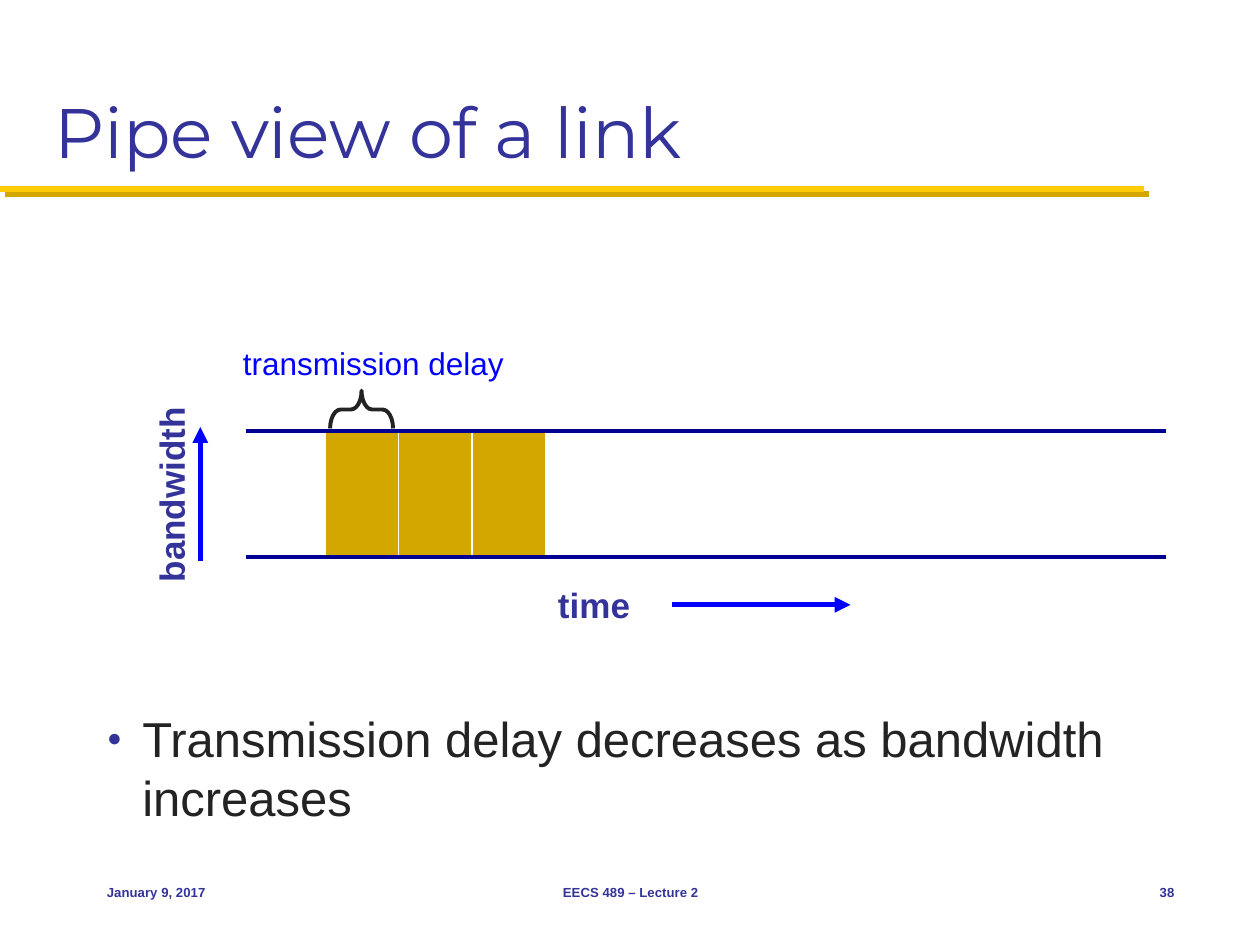
from dataclasses import dataclass

from lxml.etree import SubElement
from pptx import Presentation
from pptx.dml.color import RGBColor
from pptx.enum.shapes import MSO_CONNECTOR, MSO_SHAPE
from pptx.enum.text import MSO_ANCHOR as Anchor, MSO_AUTO_SIZE as AutoSize, PP_ALIGN as Align
from pptx.oxml.ns import qn
from pptx.util import Inches, Pt


@dataclass(frozen=True)
class Theme:
    """Colours, fonts and type sizes of the slide."""
    navy: str = "333399"
    ink: str = "232323"
    blue: str = "0000FF"
    pipe: str = "000090"
    yellow: str = "FFCB05"
    gold: str = "D3A600"
    white: str = "FFFFFF"
    heading: str = "Montserrat"
    font: str = "Arial"
    title_size: float = 40
    body_size: float = 28
    axis_size: float = 20
    note_size: float = 18
    footer_size: float = 7.5


class SlideBuilder:
    """Draws styled elements on one slide."""

    def __init__(self, slide, theme):
        """Keep the slide and its style."""
        self.slide, self.theme = slide, theme

    def place(self, element, left, top, width, height):
        """Move and size an element in inches."""
        element.left, element.top = Inches(left), Inches(top)
        element.width, element.height = Inches(width), Inches(height)

    def style(self, paragraph, size, color, font=None, bold=False):
        """Format the runs of a paragraph."""
        for run in paragraph.runs:
            run.font.name = font or self.theme.font
            run.font.size, run.font.bold = Pt(size), bold
            run.font.color.rgb = RGBColor.from_string(color)

    def title(self, text, *box):
        """Fill the title placeholder."""
        heading = self.slide.shapes.title
        self.place(heading, *box)
        frame = heading.text_frame
        frame.text, frame.vertical_anchor = text, Anchor.BOTTOM
        frame.auto_size = AutoSize.NONE
        frame.paragraphs[0].alignment = Align.LEFT
        self.style(frame.paragraphs[0], self.theme.title_size, self.theme.navy, self.theme.heading)

    def bullet(self, text, *box):
        """Fill the body placeholder with one bullet resting at its foot."""
        body = self.slide.placeholders[1]
        self.place(body, *box)
        frame = body.text_frame
        frame.text, frame.vertical_anchor = text, Anchor.BOTTOM
        frame.auto_size, frame.margin_bottom = AutoSize.NONE, Inches(0.02)
        point = frame.paragraphs[0]
        point.space_before = Pt(0)
        props = point._p.get_or_add_pPr()
        props.set("marL", str(Inches(0.28)))
        props.set("indent", str(-Inches(0.28)))
        SubElement(SubElement(props, qn("a:buClr")), qn("a:srgbClr"), val=self.theme.navy)
        SubElement(props, qn("a:buSzPct"), val="50000")
        SubElement(props, qn("a:buFont"), typeface=self.theme.font)
        SubElement(props, qn("a:buChar"), char="●")
        self.style(point, self.theme.body_size, self.theme.ink)

    def label(self, text, box, size, color, bold=True, align=Align.LEFT, anchor=Anchor.TOP, rotation=0):
        """Add a single-line text box."""
        caption = self.slide.shapes.add_textbox(*map(Inches, box))
        caption.rotation = rotation
        frame = caption.text_frame
        frame.text, frame.vertical_anchor = text, anchor
        frame.word_wrap = False
        frame.paragraphs[0].alignment = align
        self.style(frame.paragraphs[0], size, color, bold=bold)

    def footer(self, text, left, width, align):
        """Add one part of the footer row."""
        self.label(text, (left, 6.83, width, 0.5), self.theme.footer_size,
                   self.theme.navy, align=align, anchor=Anchor.MIDDLE)

    def line(self, start, end, color, weight, arrow=False, shadow=None):
        """Add a straight line, with an arrowhead or a shadow if asked."""
        stroke = self.slide.shapes.add_connector(
            MSO_CONNECTOR.STRAIGHT, *map(Inches, (*start, *end)))
        stroke.line.color.rgb = RGBColor.from_string(color)
        stroke.line.width = Pt(weight)
        if arrow:
            SubElement(stroke.line._get_or_add_ln(), qn("a:tailEnd"), type="triangle")
        effects = SubElement(stroke._element.spPr, qn("a:effectLst"))
        if shadow:
            cast = SubElement(effects, qn("a:outerShdw"), blurRad="0", dist=str(Pt(4.2)),
                              dir=str(45 * 60000), algn="ctr", rotWithShape="0")
            SubElement(cast, qn("a:srgbClr"), val=shadow)

    def shape(self, kind, box, outline, weight, fill=None, rotation=0):
        """Add a preset shape."""
        figure = self.slide.shapes.add_shape(kind, *map(Inches, box))
        figure.shadow.inherit = False
        figure.rotation = rotation
        if fill:
            figure.fill.solid()
            figure.fill.fore_color.rgb = RGBColor.from_string(fill)
        else:
            figure.fill.background()
        figure.line.color.rgb = RGBColor.from_string(outline)
        figure.line.width = Pt(weight)
        return figure


def main():
    """Build the slide and save it."""
    deck = Presentation()
    deck.slide_width, deck.slide_height = Inches(10), Inches(7.5)
    theme = Theme()
    page = SlideBuilder(deck.slides.add_slide(deck.slide_layouts[1]), theme)

    page.line((0, 1.5), (9.08, 1.5), theme.yellow, 3.5, shadow=theme.gold)
    page.title("Pipe view of a link", 0.33, 0.17, 9.33, 1.25)
    page.bullet("Transmission delay decreases as bandwidth increases", 0.75, 1.75, 8.67, 4.83)

    page.footer("January 9, 2017", 0.75, 2.08, Align.LEFT)
    page.footer("EECS 489 – Lecture 2", 3.42, 3.17, Align.CENTER)
    page.footer("38", 8.75, 0.67, Align.RIGHT)

    pipe_top, pipe_height, packet_width = 3.42, 1, 7 / 12
    for index in range(3):
        page.shape(MSO_SHAPE.RECTANGLE,
                   (2.58 + index * packet_width, pipe_top, packet_width, pipe_height),
                   theme.white, 0.75, theme.gold)
    for edge in (pipe_top, pipe_top + pipe_height):
        page.line((1.95, edge), (9.25, edge), theme.pipe, 2.25)

    page.label("time", (4.33, 4.58, 0.78, 0.44), theme.axis_size, theme.navy)
    page.line((5.33, 4.8), (6.75, 4.8), theme.blue, 3, arrow=True)
    page.label("bandwidth", (0.56, 3.7, 1.6, 0.44), theme.axis_size, theme.navy, rotation=270)
    page.line((1.59, 4.45), (1.59, 3.39), theme.blue, 3, arrow=True)

    brace = page.shape(MSO_SHAPE.RIGHT_BRACE, (2.72, 3, 0.3, 0.5), theme.ink, 2.25, rotation=270)
    brace.adjustments[0] = 0.28
    page.label("transmission delay", (1.83, 2.68, 2.29, 0.4), theme.note_size, theme.blue, bold=False)

    deck.save("out.pptx")


if __name__ == "__main__":
    main()
